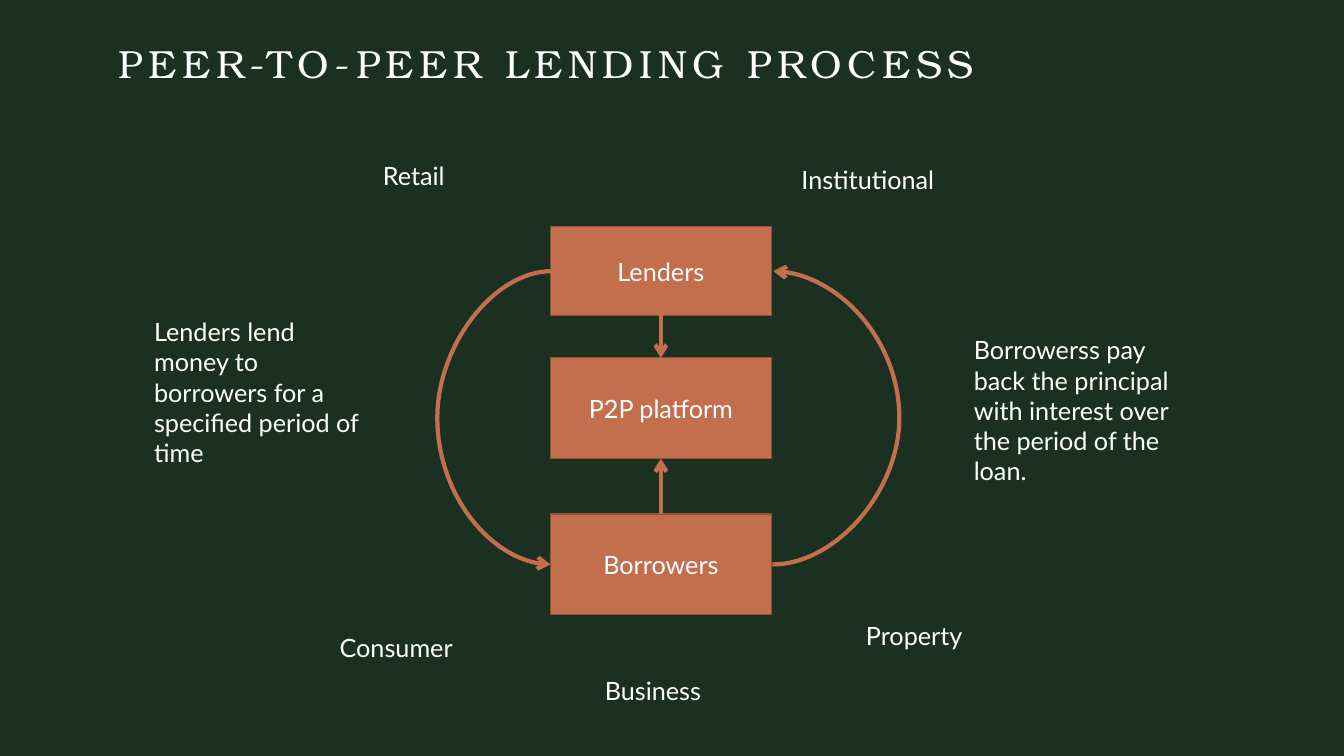
"""Build the peer-to-peer lending process slide."""
from dataclasses import dataclass

from lxml.etree import SubElement
from pptx import Presentation
from pptx.dml.color import RGBColor
from pptx.enum.shapes import MSO_CONNECTOR, MSO_SHAPE
from pptx.enum.text import MSO_ANCHOR, MSO_AUTO_SIZE, PP_ALIGN
from pptx.oxml.ns import qn
from pptx.shapes.autoshape import Shape
from pptx.shapes.connector import Connector
from pptx.slide import Slide
from pptx.text.text import TextFrame
from pptx.util import Emu, Pt

EMU_PER_PX = 9144


@dataclass(frozen=True)
class Theme:
    background: RGBColor = RGBColor.from_string("1B3021")
    text: RGBColor = RGBColor.from_string("FFFFFF")
    accent: RGBColor = RGBColor.from_string("C36E4D")
    border: RGBColor = RGBColor.from_string("905139")
    title_font: str = "TeX Gyre Bonum"
    body_font: str = "Lato"
    title_size: Pt = Pt(28)
    body_size: Pt = Pt(18)
    border_width: Pt = Pt(0.85)
    arrow_width: Pt = Pt(3)
    title_spacing: int = 400


@dataclass(frozen=True)
class Party:
    name: str
    top: int
    height: int


@dataclass(frozen=True)
class Note:
    text: str
    left: int
    top: int
    width: int = 152
    height: int = 40


@dataclass(frozen=True)
class MoneyFlow:
    start: tuple[int, int]
    end: tuple[int, int]
    bulge: int


THEME = Theme()
PARTY_LEFT, PARTY_WIDTH = 546, 219
BOTTOM_SITE, TOP_SITE = 2, 0

LENDERS = Party("Lenders", 225, 88)
PLATFORM = Party("P2P platform", 355, 100)
BORROWERS = Party("Borrowers", 510, 100)

NOTES = (
    Note("Borrowerss pay back the principal with interest over the period of the loan.",
         956, 327, 236, 162),
    Note("Lenders lend money to borrowers for a specified period of time",
         143, 309, 236, 162),
    Note("Business", 590, 665),
    Note("Consumer", 327, 622),
    Note("Property", 849, 610),
    Note("Retail", 370, 154),
    Note("Institutional", 785, 158),
)

LOAN = MoneyFlow((547, 269), (546, 560), 115)
REPAYMENT = MoneyFlow((766, 560), (767, 269), 128)


def px(length: int) -> Emu:
    return Emu(length * EMU_PER_PX)


def write(frame: TextFrame, text: str, font_name: str, size: Pt) -> None:
    frame.word_wrap = True
    paragraph = frame.paragraphs[0]
    paragraph.text = text
    paragraph.font.name = font_name
    paragraph.font.size = size
    paragraph.font.color.rgb = THEME.text


def add_title(slide: Slide, text: str) -> None:
    title = slide.shapes.add_textbox(px(118), px(39), px(1097), px(72))
    frame = title.text_frame
    frame.margin_left = frame.margin_right = frame.margin_top = frame.margin_bottom = 0
    write(frame, text, THEME.title_font, THEME.title_size)
    run = frame.paragraphs[0].runs[0]
    run.font._element.set("spc", str(THEME.title_spacing))


def add_party(slide: Slide, party: Party) -> Shape:
    box = slide.shapes.add_shape(MSO_SHAPE.RECTANGLE, px(PARTY_LEFT), px(party.top),
                                 px(PARTY_WIDTH), px(party.height))
    box.shadow.inherit = False
    box.fill.solid()
    box.fill.fore_color.rgb = THEME.accent
    box.line.color.rgb = THEME.border
    box.line.width = THEME.border_width
    box.text_frame.vertical_anchor = MSO_ANCHOR.MIDDLE
    write(box.text_frame, party.name, THEME.body_font, THEME.body_size)
    box.text_frame.paragraphs[0].alignment = PP_ALIGN.CENTER
    return box


def add_note(slide: Slide, note: Note) -> None:
    label = slide.shapes.add_textbox(px(note.left), px(note.top),
                                     px(note.width), px(note.height))
    write(label.text_frame, note.text, THEME.body_font, THEME.body_size)
    label.text_frame.auto_size = MSO_AUTO_SIZE.SHAPE_TO_FIT_TEXT


def style_arrow(arrow: Connector) -> None:
    arrow.line.color.rgb = THEME.accent
    arrow.line.width = THEME.arrow_width
    SubElement(arrow.line._get_or_add_ln(), qn("a:tailEnd"), type="arrow")
    SubElement(arrow._element.spPr, qn("a:effectLst"))


def add_link(slide: Slide, source: Shape, source_site: int,
             target: Shape, target_site: int) -> None:
    link = slide.shapes.add_connector(MSO_CONNECTOR.STRAIGHT, 0, 0, 0, 0)
    link.begin_connect(source, source_site)
    link.end_connect(target, target_site)
    style_arrow(link)


def add_flow(slide: Slide, flow: MoneyFlow) -> None:
    curve = slide.shapes.add_connector(MSO_CONNECTOR.CURVE, *map(px, flow.start + flow.end))
    span = abs(flow.end[0] - flow.start[0])
    adjustments = curve._element.spPr.find(qn("a:prstGeom")).get_or_add_avLst()
    SubElement(adjustments, qn("a:gd"), name="adj1",
               fmla=f"val {flow.bulge * 100000 // span}")
    style_arrow(curve)


def main() -> None:
    deck = Presentation()
    deck.slide_width, deck.slide_height = px(1333), px(750)
    slide = deck.slides.add_slide(deck.slide_layouts[6])
    slide.background.fill.solid()
    slide.background.fill.fore_color.rgb = THEME.background

    add_title(slide, "PEER-TO-PEER LENDING PROCESS")
    lenders, platform, borrowers = (
        add_party(slide, party) for party in (LENDERS, PLATFORM, BORROWERS))
    for note in NOTES:
        add_note(slide, note)
    add_link(slide, lenders, BOTTOM_SITE, platform, TOP_SITE)
    add_link(slide, borrowers, TOP_SITE, platform, BOTTOM_SITE)
    for flow in (LOAN, REPAYMENT):
        add_flow(slide, flow)

    deck.save("out.pptx")


if __name__ == "__main__":
    main()
